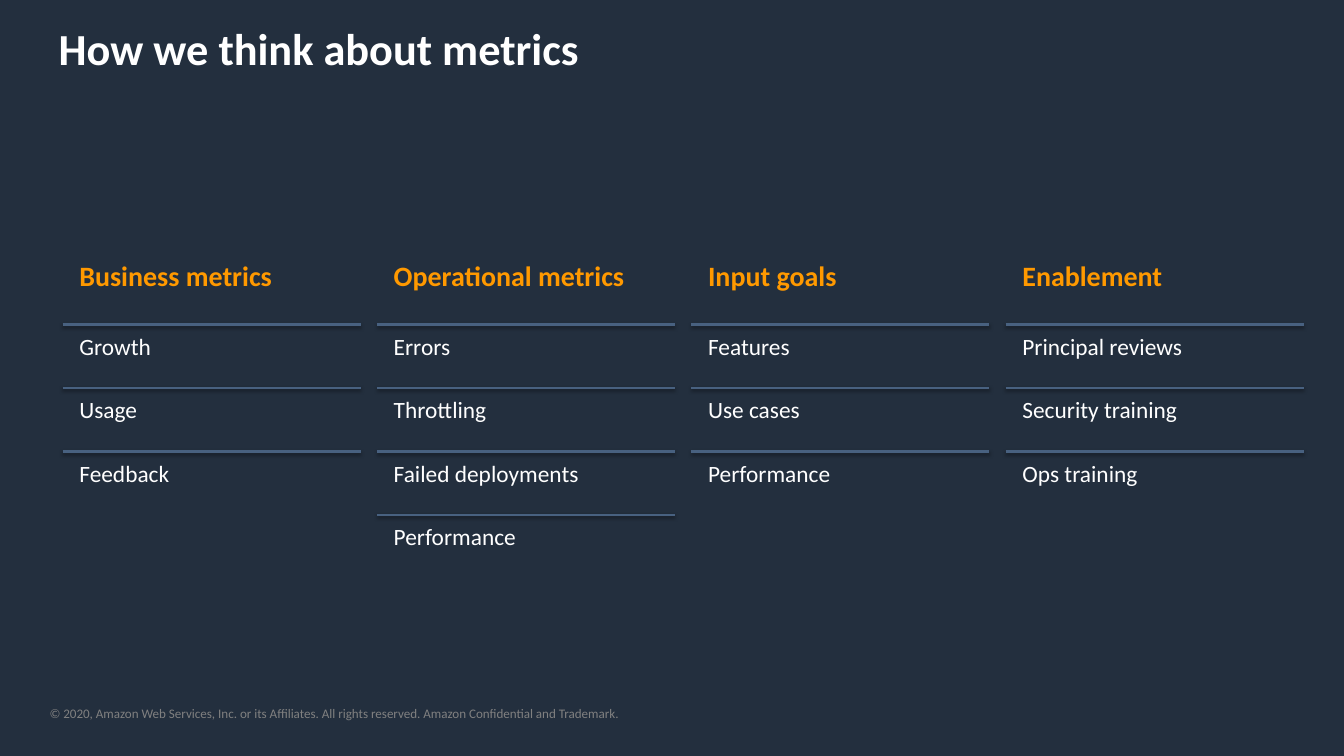
import lxml.etree
import pptx
import pptx.dml.color
import pptx.enum.shapes
import pptx.enum.text
import pptx.oxml.ns
import pptx.util

Cm = pptx.util.Cm
Pt = pptx.util.Pt
ANCHOR = pptx.enum.text.MSO_ANCHOR
FONT = "Calibri"
COLORS = {
    "background": "232F3E",
    "text": "FFFFFF",
    "heading": "FF9900",
    "rule": "486180",
    "footer": "808080",
    "shadow": "000000",
}
METRICS = {
    "Business metrics": ["Growth", "Usage", "Feedback"],
    "Operational metrics": ["Errors", "Throttling", "Failed deployments", "Performance"],
    "Input goals": ["Features", "Use cases", "Performance"],
    "Enablement": ["Principal reviews", "Security training", "Ops training"],
}
COLUMN_GAP = Cm(0.49)
HEADING_HEIGHT = Cm(1.42)
FIRST_RULE = Cm(2.24)
ROW_PITCH = Cm(1.92)
ROW_HEIGHT = Cm(1.12)
RULE_TO_TEXT = Cm(0.09)


def rgb(name):
    return pptx.dml.color.RGBColor.from_string(COLORS[name])


def format_text(text_frame, text, size, color, bold=False):
    text_frame.text = text
    text_frame.word_wrap = True
    paragraph = text_frame.paragraphs[0]
    paragraph.alignment = pptx.enum.text.PP_ALIGN.LEFT
    font = paragraph.runs[0].font
    font.name = FONT
    font.size = Pt(size)
    font.bold = bold
    font.color.rgb = rgb(color)


def add_label(slide, box, text, size, color, bold=False, insets=(0, 0, 0, 0)):
    """Insets run left, top, right, bottom in centimetres."""
    text_frame = slide.shapes.add_textbox(*box).text_frame
    format_text(text_frame, text, size, color, bold)
    text_frame.vertical_anchor = ANCHOR.MIDDLE
    text_frame.margin_left, text_frame.margin_top = Cm(insets[0]), Cm(insets[1])
    text_frame.margin_right, text_frame.margin_bottom = Cm(insets[2]), Cm(insets[3])


def add_rule(slide, left, top, width):
    """Draw a horizontal line with a soft shadow beneath it."""
    rule = slide.shapes.add_connector(
        pptx.enum.shapes.MSO_CONNECTOR.STRAIGHT, left, top, left + width, top
    )
    rule.line.color.rgb = rgb("rule")
    rule.line.width = Pt(2)
    qn = pptx.oxml.ns.qn
    effects = lxml.etree.SubElement(rule._element.spPr, qn("a:effectLst"))
    shadow = lxml.etree.SubElement(
        effects, qn("a:outerShdw"),
        blurRad=str(Pt(3.1)), dist=str(Pt(1.6)), dir="5400000", rotWithShape="0",
    )
    color = lxml.etree.SubElement(shadow, qn("a:srgbClr"), val=COLORS["shadow"])
    lxml.etree.SubElement(color, qn("a:alpha"), val="38000")


def add_title(slide, box, text):
    title = slide.shapes.title
    title.left, title.top, title.width, title.height = box
    format_text(title.text_frame, text, 38, "text", bold=True)
    title.text_frame.vertical_anchor = ANCHOR.TOP
    title.text_frame.auto_size = pptx.enum.text.MSO_AUTO_SIZE.NONE


def add_column(slide, box, heading, entries):
    left, top, width, _ = box
    add_label(slide, (left, top, width, HEADING_HEIGHT), heading, 24, "heading",
              bold=True, insets=(0.51, 0.25, 0.25, 0.13))
    for row, entry in enumerate(entries):
        rule_top = top + FIRST_RULE + row * ROW_PITCH
        add_rule(slide, left, rule_top, width)
        add_label(slide, (left, rule_top + RULE_TO_TEXT, width, ROW_HEIGHT),
                  entry, 20, "text", insets=(0.51, 0.13, 0.25, 0.13))


def add_metrics(slide, box):
    """Share the box among equal columns, one for each kind of metric."""
    left, top, width, height = box
    column_width = (width - (len(METRICS) - 1) * COLUMN_GAP) // len(METRICS)
    for index, (heading, entries) in enumerate(METRICS.items()):
        column_left = left + index * (column_width + COLUMN_GAP)
        add_column(slide, (column_left, top, column_width, height), heading, entries)


def add_footer(slide, box):
    add_label(
        slide, box,
        "© 2020, Amazon Web Services, Inc. or its Affiliates. All rights reserved. "
        "Amazon Confidential and Trademark.",
        11.2, "footer",
    )


def main():
    presentation = pptx.Presentation()
    presentation.slide_width = Cm(40.64)
    presentation.slide_height = Cm(22.86)
    slide = presentation.slides.add_slide(presentation.slide_layouts[5])
    slide.background.fill.solid()
    slide.background.fill.fore_color.rgb = rgb("background")
    add_footer(slide, (Cm(1.5), Cm(21.34), Cm(19.76), Cm(0.48)))
    add_title(slide, (Cm(1.52), Cm(0.51), Cm(37.54), Cm(2.51)), "How we think about metrics")
    add_metrics(slide, (Cm(1.89), Cm(7.57), Cm(37.53), Cm(9.21)))
    presentation.save("out.pptx")


if __name__ == "__main__":
    main()
